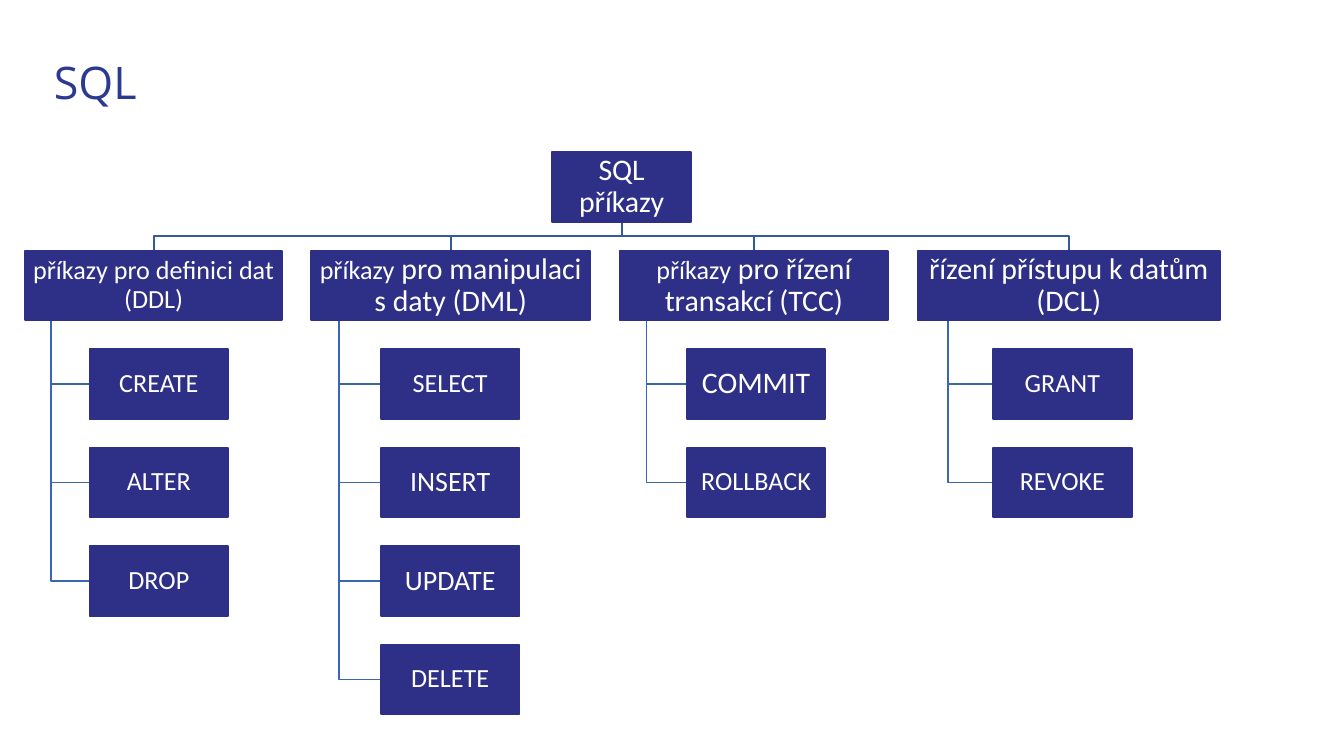
from lxml import etree
from pptx import Presentation
from pptx import util as u
from pptx.dml.color import RGBColor
from pptx.enum import shapes, text

COLOURS = {"box": "2E2F86", "title": "2B3990", "label": "FFFFFF",
           "branch": "345A99", "twig": "3A66B1"}
BOX_WIDTH, BOX_HEIGHT, GAP = 2.62, 1.31, 0.55
TOP, LEFT, ROOT_LEFT = 2.88, 0.48, 10.44

GROUPS = [
    (4.85, [("příkazy pro definici dat (DDL)", 14)],
     [("CREATE", 14), ("ALTER", 14), ("DROP", 14)]),
    (5.28, [("příkazy", 14), (" pro manipulaci s daty (DML)", 16)],
     [("SELECT", 14), ("INSERT", 15), ("UPDATE", 15), ("DELETE", 14)]),
    (5.08, [("příkazy", 14), (" pro řízení transakcí (TCC)", 16)],
     [("COMMIT", 16), ("ROLLBACK", 14)]),
    (5.72, [("řízení přístupu k datům (DCL)", 16)],
     [("GRANT", 14), ("REVOKE", 14)]),
]


def colour(name):
    return RGBColor.from_string(COLOURS[name])


def add_text(paragraph, content, *, size, font="Calibri", fill="label"):
    run = paragraph.add_run()
    run.text = content
    run.font.size = u.Pt(size)
    run.font.name = font
    run.font.color.rgb = colour(fill)


def row_top(row):
    return TOP + row * (BOX_HEIGHT + GAP)


class Chart:
    def __init__(self, slide):
        self.slide = slide

    def title(self, content):
        shape = self.slide.shapes.add_textbox(
            u.Cm(1.02), u.Cm(0.89), u.Cm(17.17), u.Cm(0.94))
        frame = shape.text_frame
        frame.word_wrap = True
        frame.margin_left = frame.margin_top = 0
        frame.margin_right = frame.margin_bottom = u.Cm(0.25)
        paragraph = frame.paragraphs[0]
        paragraph.line_spacing = 1.15
        add_text(paragraph, content, size=24, font="Open Sans", fill="title")

    def box(self, left, row, runs, width=BOX_WIDTH):
        shape = self.slide.shapes.add_shape(
            shapes.MSO_SHAPE.RECTANGLE,
            u.Cm(left), u.Cm(row_top(row)), u.Cm(width), u.Cm(BOX_HEIGHT))
        shape.shadow.inherit = False
        shape.fill.solid()
        shape.fill.fore_color.rgb = colour("box")
        shape.line.color.rgb = colour("box")
        shape.line.width = u.Pt(1)
        frame = shape.text_frame
        frame.word_wrap = True
        frame.vertical_anchor = text.MSO_ANCHOR.MIDDLE
        frame.margin_left = frame.margin_right = u.Cm(0.03)
        frame.margin_top = frame.margin_bottom = u.Cm(0.03)
        paragraph = frame.paragraphs[0]
        paragraph.alignment = text.PP_ALIGN.CENTER
        paragraph.line_spacing = 0.9
        for content, size in runs:
            add_text(paragraph, content, size=size)

    def elbow(self, points, line):
        start, *rest = [(u.Cm(x), u.Cm(y)) for x, y in points]
        builder = self.slide.shapes.build_freeform(*start)
        builder.add_line_segments(rest, close=False)
        shape = builder.convert_to_shape()
        shape.shadow.inherit = False
        shape.fill.background()
        shape.line.color.rgb = colour(line)
        shape.line.width = u.Pt(1)

    def group(self, left, width, heading, commands):
        root, centre = ROOT_LEFT + BOX_WIDTH / 2, left + width / 2
        root_bottom = row_top(0) + BOX_HEIGHT
        middle = root_bottom + GAP / 2
        self.elbow([(root, root_bottom), (root, middle),
                    (centre, middle), (centre, row_top(1))], "branch")
        trunk, child_left = left + width / 10, left + width / 4
        for row, command in enumerate(commands, 2):
            level = row_top(row) + BOX_HEIGHT / 2
            self.elbow([(trunk, row_top(1) + BOX_HEIGHT),
                        (trunk, level), (child_left, level)], "twig")
            self.box(child_left, row, [command])
        self.box(left, 1, heading, width)


def main():
    presentation = Presentation()
    presentation.slide_width = u.Cm(25.4)
    presentation.slide_height = u.Cm(14.28)
    chart = Chart(presentation.slides.add_slide(presentation.slide_layouts[6]))
    chart.title("SQL")
    left = LEFT
    for width, heading, commands in GROUPS:
        chart.group(left, width, heading, commands)
        left += width + GAP
    chart.box(ROOT_LEFT, 0, [("SQL příkazy", 16)])
    presentation.save("out.pptx")


if __name__ == "__main__":
    main()
